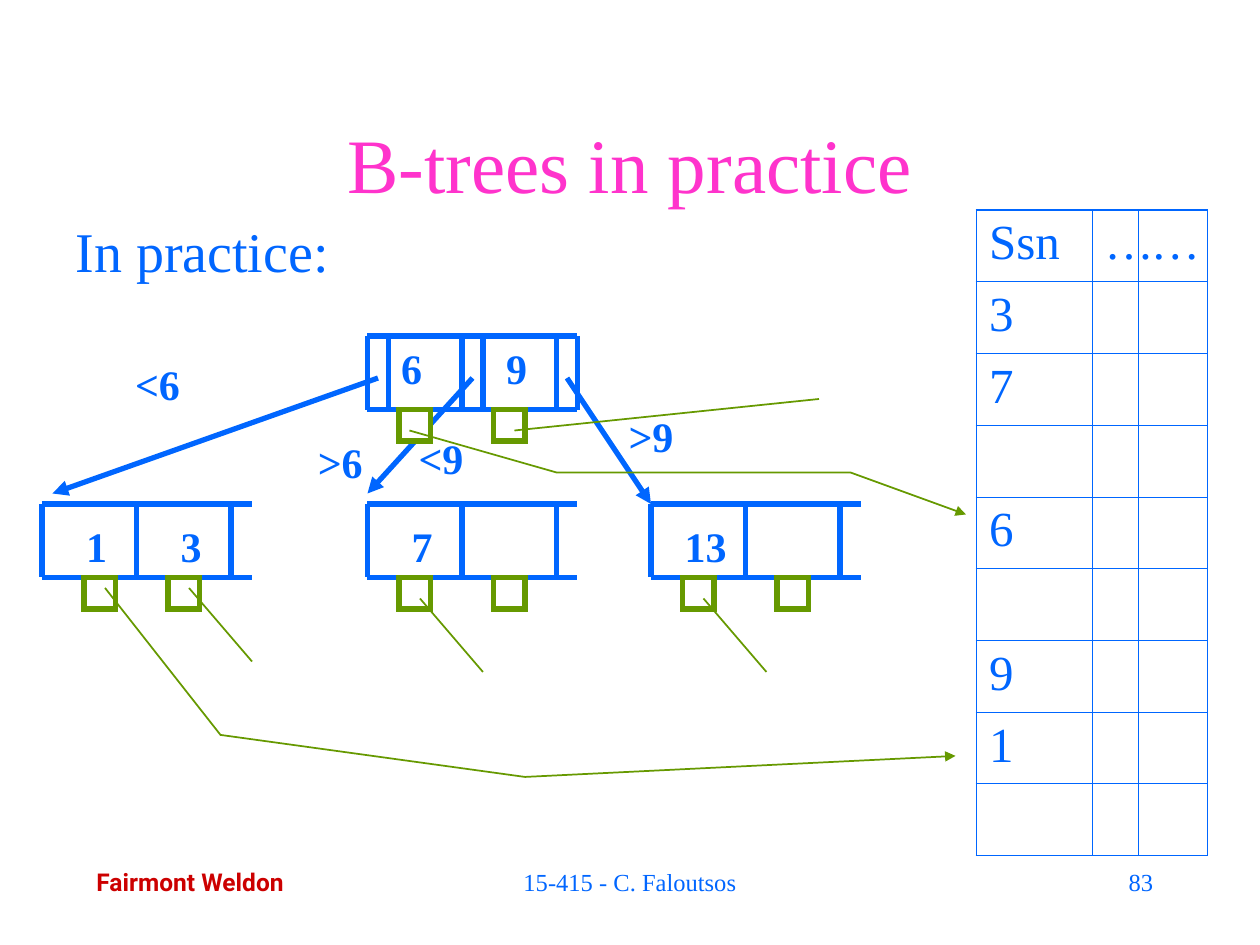
from dataclasses import dataclass

from lxml.etree import SubElement as Sub
from pptx import Presentation
from pptx.dml.color import RGBColor as Rgb
from pptx.enum.shapes import MSO_CONNECTOR as Conn, MSO_SHAPE as Kind
from pptx.enum.text import MSO_ANCHOR as Anchor, PP_ALIGN as Align
from pptx.oxml.ns import qn
from pptx.util import Emu, Pt

PX = 7620  # 120 px to the inch


@dataclass(frozen=True)
class Theme:
    blue: str = "0066FF"
    pink: str = "FF33CC"
    green: str = "669900"
    red: str = "CC0000"
    white: str = "FFFFFF"
    serif: str = "Times New Roman"
    sans: str = "Roboto"
    title: int = 44
    body: int = 32
    cell: int = 28
    key: int = 24
    foot: int = 14
    thick: float = 3
    thin: float = 1
    edge: float = 1.08
    grid: float = 0.45


T = Theme()


def px(*nums):
    return [Emu(n * PX) for n in nums]


def ink(line, color, width, arrow=False):
    line.color.rgb = Rgb.from_string(color)
    line.width = Pt(width)
    stroke = line._get_or_add_ln()
    Sub(stroke, qn("a:miter"), lim="800000")
    if arrow:
        Sub(stroke, qn("a:tailEnd"), type="triangle")


def write(par, words, size, color=T.blue, bold=False, face=T.serif):
    run = par.add_run()
    run.text = words
    font = run.font
    font.size, font.bold, font.name = Pt(size), bold, face
    font.color.rgb = Rgb.from_string(color)


def text(slide, box, words, size, align=Align.LEFT, wrap=True,
         anchor=Anchor.TOP, **style):
    frame = slide.shapes.add_textbox(*px(*box)).text_frame
    frame.word_wrap, frame.vertical_anchor = wrap, anchor
    par = frame.paragraphs[0]
    par.alignment = align
    write(par, words, size, **style)


def line(slide, start, end, color=T.blue, width=T.thick, arrow=False):
    part = slide.shapes.add_connector(Conn.STRAIGHT, *px(*start, *end))
    ink(part.line, color, width, arrow)
    Sub(part._element.spPr, qn("a:effectLst"))


def label(slide, mid, top, words):
    wide = 44 if words.isdigit() and len(words) == 1 else 76
    text(slide, (mid - wide // 2, top, wide, 60), words, T.key,
         Align.CENTER, wrap=False, bold=True)


def node(slide, box, walls, keys, drop, slots):
    """Tree node: frame, (x, key) pairs, and record slots hung below."""
    x, y, w, h = box
    for wall in walls:
        line(slide, (x + wall, y), (x + wall, y + h))
    for rail in (y, y + h):
        line(slide, (x, rail), (x + w, rail))
    for mid, key in keys:
        label(slide, x + mid, y + drop, key)
    for slot in slots:
        part = slide.shapes.add_shape(
            Kind.RECTANGLE, *px(x + slot, y + h, 30, 30))
        part.shadow.inherit = False
        part.fill.solid()
        part.fill.fore_color.rgb = Rgb.from_string(T.white)
        ink(part.line, T.green, T.thick)


def bent(slide, x, y, steps):
    """Thin arrow through points given relative to its start."""
    draw = slide.shapes.build_freeform(*px(x, y), scale=1.0)
    draw.add_line_segments(
        [px(x + dx, y + dy) for dx, dy in steps], close=False)
    part = draw.convert_to_shape()
    part.shadow.inherit = False
    part.fill.background()
    ink(part.line, T.green, T.thin, arrow=True)


def tree(slide, box):
    x, y, w, h = box

    # Branches with their conditions
    for start, end in (((320, 40), (10, 150)), ((410, 40), (310, 150)),
                       ((500, 40), (580, 160))):
        line(slide, (x + start[0], y + start[1]),
             (x + end[0], y + end[1]), arrow=True)
    for mid, top, words in ((110, 16, "<6"), (284, 90, ">6"),
                            (380, 86, "<9"), (580, 65, ">9")):
        label(slide, x + mid, y + top, words)

    # Root and leaves
    node(slide, (x + 310, y, 200, 70), (0, 20, 90, 110, 180, 200),
         ((42, "6"), (142, "9")), 0, (30, 120))
    for left, keys, first in ((0, "1 3", 40), (310, "7", 30),
                              (580, "13", 30)):
        node(slide, (x + left, y + 160, 200, 70), (0, 90, 180),
             zip((52, 142), keys.split()), 10, (first, 120))

    # Pointers to records
    bent(slide, x + 60, y + 240, ((110, 140), (400, 180), (810, 160)))
    bent(slide, x + 350, y + 90, ((140, 40), (420, 40), (530, 80)))
    for left, top, dx, dy in ((140, 240, 60, 70), (450, 90, 290, -30),
                              (360, 250, 60, 70), (630, 250, 60, 70)):
        line(slide, (x + left, y + top), (x + left + dx, y + top + dy),
             T.green, T.thin)


def border(cell, sides):
    props = cell._tc.get_or_add_tcPr()
    for side, outer in sides.items():
        width = Pt(T.edge if outer else T.grid)
        edge = Sub(props, qn(f"a:ln{side}"), w=str(width))
        Sub(Sub(edge, qn("a:solidFill")), qn("a:srgbClr"), val=T.blue)
    cell.fill.background()


def records(slide, box):
    rows = [("Ssn", "…", "…")]
    rows += [(key, "", "") for key in ("3", "7", "", "6", "", "9", "1", "")]
    cols = (110, 44, 66)
    grid = slide.shapes.add_table(len(rows), len(cols), *px(*box)).table
    grid.first_row = grid.horz_banding = False
    for col, width in zip(grid.columns, px(*cols)):
        col.width = width
    for r, row in enumerate(rows):
        grid.rows[r].height = Emu(box[3] * PX // len(rows))
        for c, words in enumerate(row):
            cell = grid.cell(r, c)
            border(cell, {"L": c == 0, "R": c == len(cols) - 1,
                          "T": r == 0, "B": r == len(rows) - 1})
            if words:
                write(cell.text_frame.paragraphs[0], words, T.cell)


def footer(slide, box):
    x, y, w, h = box
    text(slide, (x, y, 217, 41), "Fairmont Weldon", T.foot, wrap=False,
         color=T.red, bold=True, face=T.sans)
    text(slide, (x + 330, y, 380, h), "15-415 - C. Faloutsos", T.foot,
         Align.CENTER)
    text(slide, (x + w - 250, y, 250, h), "83", T.foot, Align.RIGHT)


def main():
    deck = Presentation()
    deck.slide_width, deck.slide_height = px(1200, 900)
    slide = deck.slides.add_slide(deck.slide_layouts[6])
    text(slide, (90, 80, 1020, 150), "B-trees in practice", T.title,
         Align.CENTER, anchor=Anchor.MIDDLE, color=T.pink)
    text(slide, (60, 200, 420, 100), "In practice:", T.body)
    tree(slide, (40, 320, 780, 320))
    records(slide, (930, 200, 220, 615))
    footer(slide, (80, 820, 1030, 60))
    deck.save("out.pptx")


if __name__ == "__main__":
    main()
